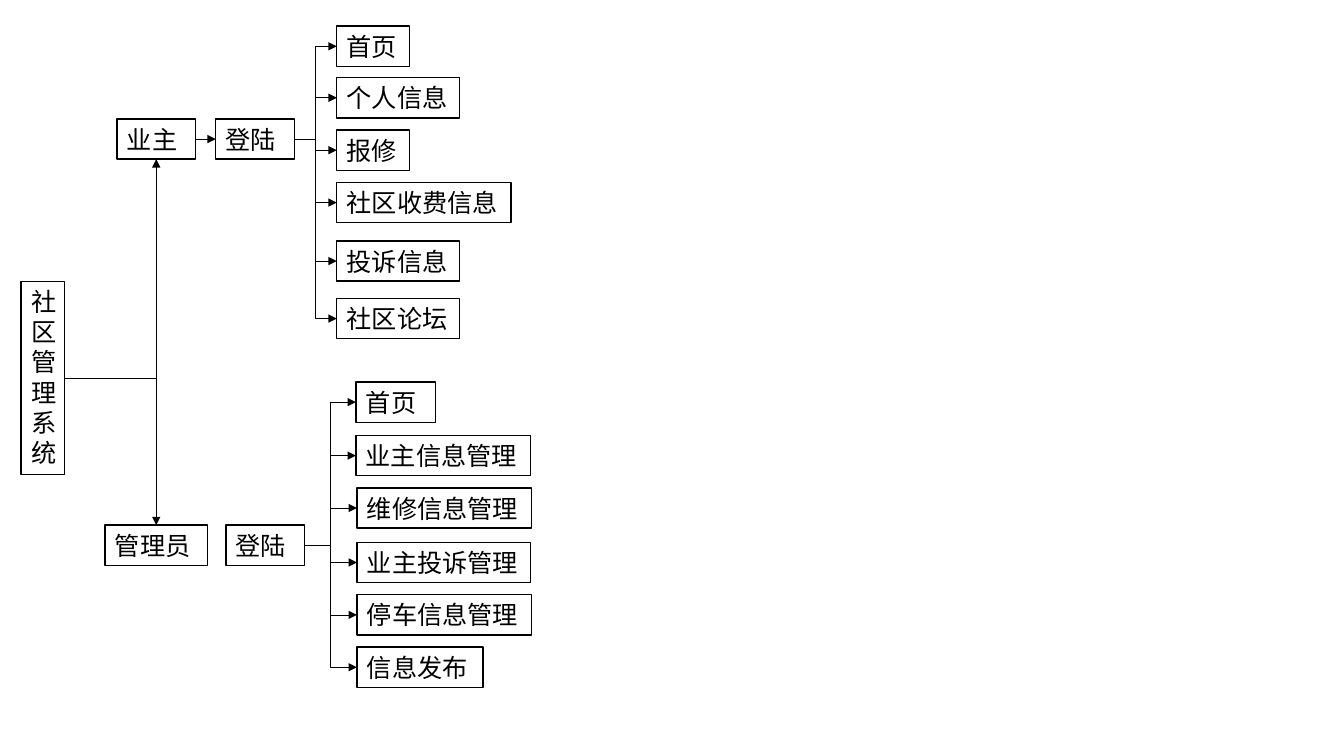
import pptx
import pptx.dml.color
import pptx.enum.shapes
import pptx.enum.text
import pptx.oxml.ns
import pptx.util
from lxml import etree
from pptx.util import Inches

BLACK = pptx.dml.color.RGBColor(0, 0, 0)
WHITE = pptx.dml.color.RGBColor(255, 255, 255)
FONT = "Noto Sans CJK SC"
BOX_HEIGHT = 0.4
# Connection sites of a rectangle
TOP, LEFT, BOTTOM, RIGHT = range(4)


class Diagram:
    """Holds the style and the current slide."""

    def __init__(self, slide):
        self.slide = slide

    def box(self, text, left, top, width, height=BOX_HEIGHT):
        shape = self.slide.shapes.add_shape(
            pptx.enum.shapes.MSO_SHAPE.RECTANGLE,
            Inches(left), Inches(top), Inches(width), Inches(height))
        shape.shadow.inherit = False
        shape.fill.solid()
        shape.fill.fore_color.rgb = WHITE
        shape.line.color.rgb = BLACK
        shape.line.width = pptx.util.Pt(1)
        frame = shape.text_frame
        frame.word_wrap = True
        frame.auto_size = pptx.enum.text.MSO_AUTO_SIZE.SHAPE_TO_FIT_TEXT
        frame.vertical_anchor = pptx.enum.text.MSO_ANCHOR.TOP
        paragraph = frame.paragraphs[0]
        paragraph.alignment = pptx.enum.text.PP_ALIGN.LEFT
        run = paragraph.add_run()
        run.text = text
        run.font.size = pptx.util.Pt(18)
        run.font.name = FONT
        run.font.color.rgb = BLACK
        east_asian = etree.SubElement(run.font._element, pptx.oxml.ns.qn("a:ea"))
        east_asian.set("typeface", FONT)
        return shape

    def arrow(self, source, target, target_site=LEFT, preset="bentConnector3"):
        connector = self.slide.shapes.add_connector(
            pptx.enum.shapes.MSO_CONNECTOR.ELBOW, 0, 0, 0, 0)
        connector.begin_connect(source, RIGHT)
        connector.end_connect(target, target_site)
        connector.line.color.rgb = BLACK
        connector.line.width = pptx.util.Pt(0.5)
        properties = connector._element.spPr
        properties.find(pptx.oxml.ns.qn("a:prstGeom")).set("prst", preset)
        line = properties.find(pptx.oxml.ns.qn("a:ln"))
        etree.SubElement(line, pptx.oxml.ns.qn("a:tailEnd")).set("type", "triangle")
        etree.SubElement(properties, pptx.oxml.ns.qn("a:effectLst"))

    def menu(self, source, entries):
        for entry in entries:
            self.arrow(source, self.box(*entry))


presentation = pptx.Presentation()
presentation.slide_width = Inches(13.33)
presentation.slide_height = Inches(7.5)
slide = presentation.slides.add_slide(presentation.slide_layouts[6])
diagram = Diagram(slide)

# System and its two roles
system = diagram.box("社区管理系统", 0.21, 2.79, 0.43, 1.92)
owner = diagram.box("业主", 1.16, 1.18, 0.78)
administrator = diagram.box("管理员", 1.04, 5.21, 1.02)
diagram.arrow(system, owner, BOTTOM, "bentConnector2")
diagram.arrow(system, administrator, TOP, "bentConnector2")

# Logins
owner_login = diagram.box("登陆", 2.14, 1.18, 0.78)
administrator_login = diagram.box("登陆", 2.24, 5.21, 0.78)
diagram.arrow(owner, owner_login, preset="line")

# Owner pages
diagram.menu(owner_login, [
    ("首页", 3.34, 0.26, 0.72),
    ("个人信息", 3.34, 0.77, 1.22),
    ("报修", 3.34, 1.29, 0.72),
    ("社区收费信息", 3.34, 1.81, 1.73),
    ("投诉信息", 3.34, 2.39, 1.22),
    ("社区论坛", 3.34, 2.96, 1.22),
])

# Administrator pages
diagram.menu(administrator_login, [
    ("首页", 3.53, 3.79, 0.79),
    ("业主信息管理", 3.53, 4.32, 1.73),
    ("维修信息管理", 3.54, 4.84, 1.73),
    ("业主投诉管理", 3.54, 5.38, 1.72),
    ("停车信息管理", 3.54, 5.9, 1.73),
    ("信息发布", 3.54, 6.42, 1.25),
])

presentation.save("out.pptx")
